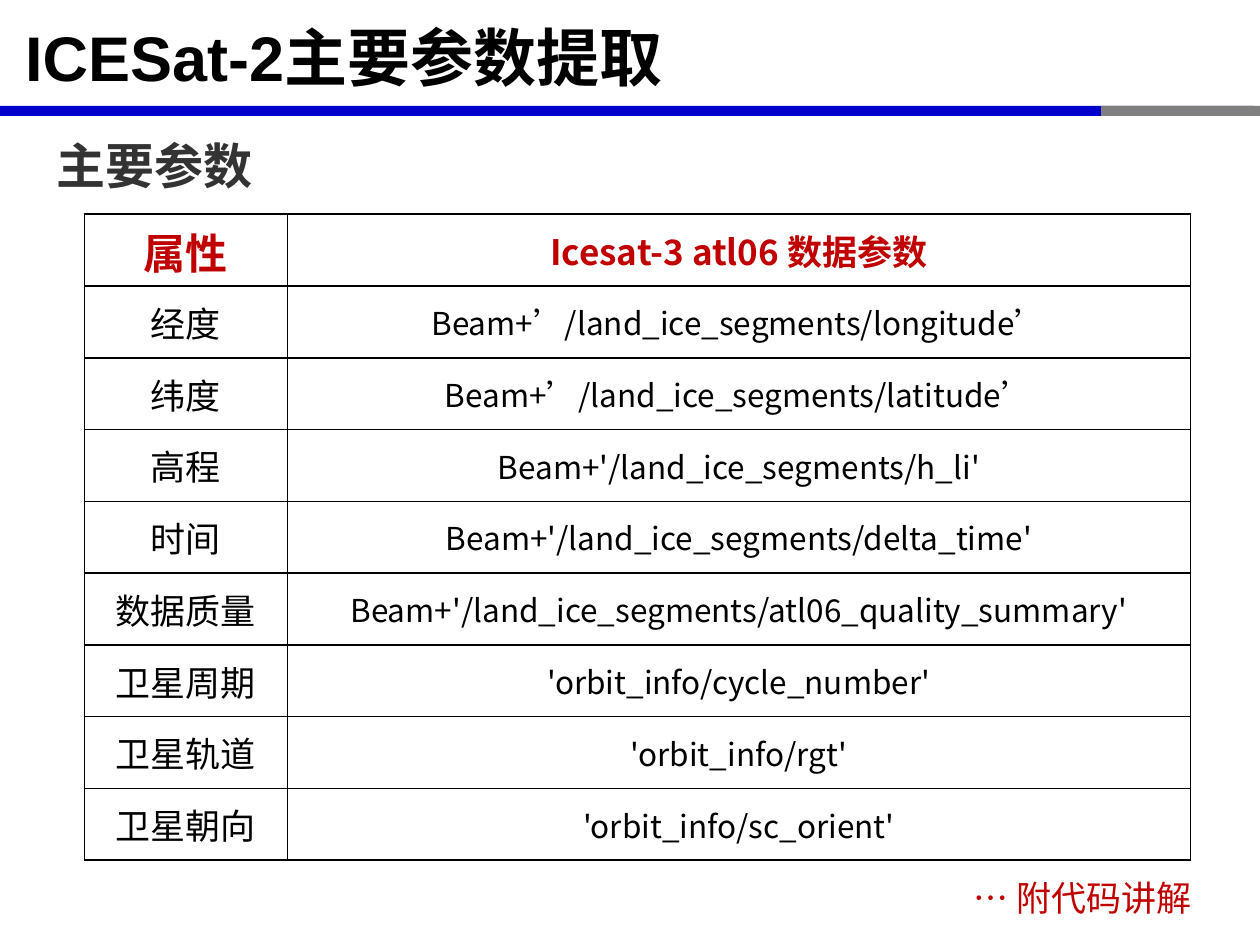
import pptx
import pptx.util
import pptx.dml.color
import pptx.enum.shapes
import pptx.enum.text
import pptx.oxml.ns
import lxml.etree

Inches, Pt = pptx.util.Inches, pptx.util.Pt
ALIGN = pptx.enum.text.PP_ALIGN
MIDDLE = pptx.enum.text.MSO_ANCHOR.MIDDLE
qn = pptx.oxml.ns.qn

THEME = {
    "latin": "Arial", "cjk": "Noto Sans CJK SC",
    "ink": "000000", "head": "333333", "red": "C00000",
    "blue": "0000CC", "gray": "7F7F7F",
    "title": 36, "sub": 28, "key": 24, "name": 20, "field": 18,
}

TITLE = "ICESat-2主要参数提取"
SUB = "主要参数"
NOTE = "… 附代码讲解"
HEAD = ("属性", "Icesat-3 atl06 数据参数")
ROWS = [
    ("经度", "Beam+’/land_ice_segments/longitude’"),
    ("纬度", "Beam+’/land_ice_segments/latitude’"),
    ("高程", "Beam+'/land_ice_segments/h_li'"),
    ("时间", "Beam+'/land_ice_segments/delta_time'"),
    ("数据质量", "Beam+'/land_ice_segments/atl06_quality_summary'"),
    ("卫星周期", "'orbit_info/cycle_number'"),
    ("卫星轨道", "'orbit_info/rgt'"),
    ("卫星朝向", "'orbit_info/sc_orient'"),
]
BARS = [(0, 9.95, "blue"), (8.74, 1.26, "gray")]  # left, width, colour
COLS = (1.61, 7.17)
ROW = 0.57


def color(name):
    return pptx.dml.color.RGBColor.from_string(THEME[name])


def write(frame, text, size, ink, align, bold=False, face="latin"):
    frame.text = text
    para = frame.paragraphs[0]
    para.alignment = align
    font = para.font
    font.name, font.size, font.bold = THEME[face], Pt(THEME[size]), bold
    font.color.rgb = color(ink)
    # East Asian glyphs take their own typeface, placed after the Latin one
    latin = para._p.pPr.find(qn("a:defRPr")).find(qn("a:latin"))
    east = lxml.etree.Element(qn("a:ea"), typeface=THEME["cjk"])
    latin.addnext(east)


def add_bar(slide, left, width, ink):
    kind = pptx.enum.shapes.MSO_SHAPE.RECTANGLE
    bar = slide.shapes.add_shape(
        kind, Inches(left), Inches(0.84), Inches(width), Inches(0.08))
    bar.shadow.inherit = False
    bar.fill.solid()
    bar.fill.fore_color.rgb = color(ink)
    bar.line.fill.background()


def add_label(slide, box, *style, **more):
    label = slide.shapes.add_textbox(*map(Inches, box))
    label.text_frame.word_wrap = True
    write(label.text_frame, *style, **more)


def outline(cell):
    props = cell._tc.get_or_add_tcPr()
    for spot, side in enumerate(("lnL", "lnR", "lnT", "lnB")):
        line = lxml.etree.Element(qn("a:" + side), w=str(Pt(1)))
        fill = lxml.etree.SubElement(line, qn("a:solidFill"))
        lxml.etree.SubElement(fill, qn("a:srgbClr"), val=THEME["ink"])
        props.insert(spot, line)


def add_grid(slide):
    rows = [HEAD] + ROWS
    grid = slide.shapes.add_table(
        len(rows), len(COLS), Inches(0.67), Inches(1.7),
        Inches(sum(COLS)), Inches(ROW * len(rows))).table
    for col, width in zip(grid.columns, COLS):
        col.width = Inches(width)
    for r, row in enumerate(rows):
        grid.rows[r].height = Inches(ROW)
        sizes = ("name", "field") if r else ("key", "name")
        for c, text in enumerate(row):
            cell = grid.cell(r, c)
            cell.vertical_anchor = MIDDLE
            cell.fill.background()
            outline(cell)
            write(cell.text_frame, text, sizes[c], "ink" if r else "red",
                  ALIGN.CENTER, bold=not r, face="cjk")


def main():
    deck = pptx.Presentation()
    deck.slide_width, deck.slide_height = Inches(10), Inches(7.5)
    slide = deck.slides.add_slide(deck.slide_layouts[5])
    for bar in BARS:
        add_bar(slide, *bar)

    title = slide.shapes.title
    title.left, title.top = Inches(0), Inches(0.01)
    title.width, title.height = Inches(9.86), Inches(0.87)
    frame = title.text_frame
    frame.margin_left = Inches(0.2)
    frame.vertical_anchor = MIDDLE
    frame.auto_size = pptx.enum.text.MSO_AUTO_SIZE.NONE
    write(frame, TITLE, "title", "ink", ALIGN.LEFT, bold=True)

    add_label(slide, (0.35, 1.03, 9.33, 0.57),
              SUB, "sub", "head", ALIGN.JUSTIFY, bold=True)
    add_label(slide, (7.26, 6.91, 2.67, 0.44),
              NOTE, "name", "red", ALIGN.CENTER)
    add_grid(slide)
    deck.save("out.pptx")


if __name__ == "__main__":
    main()
